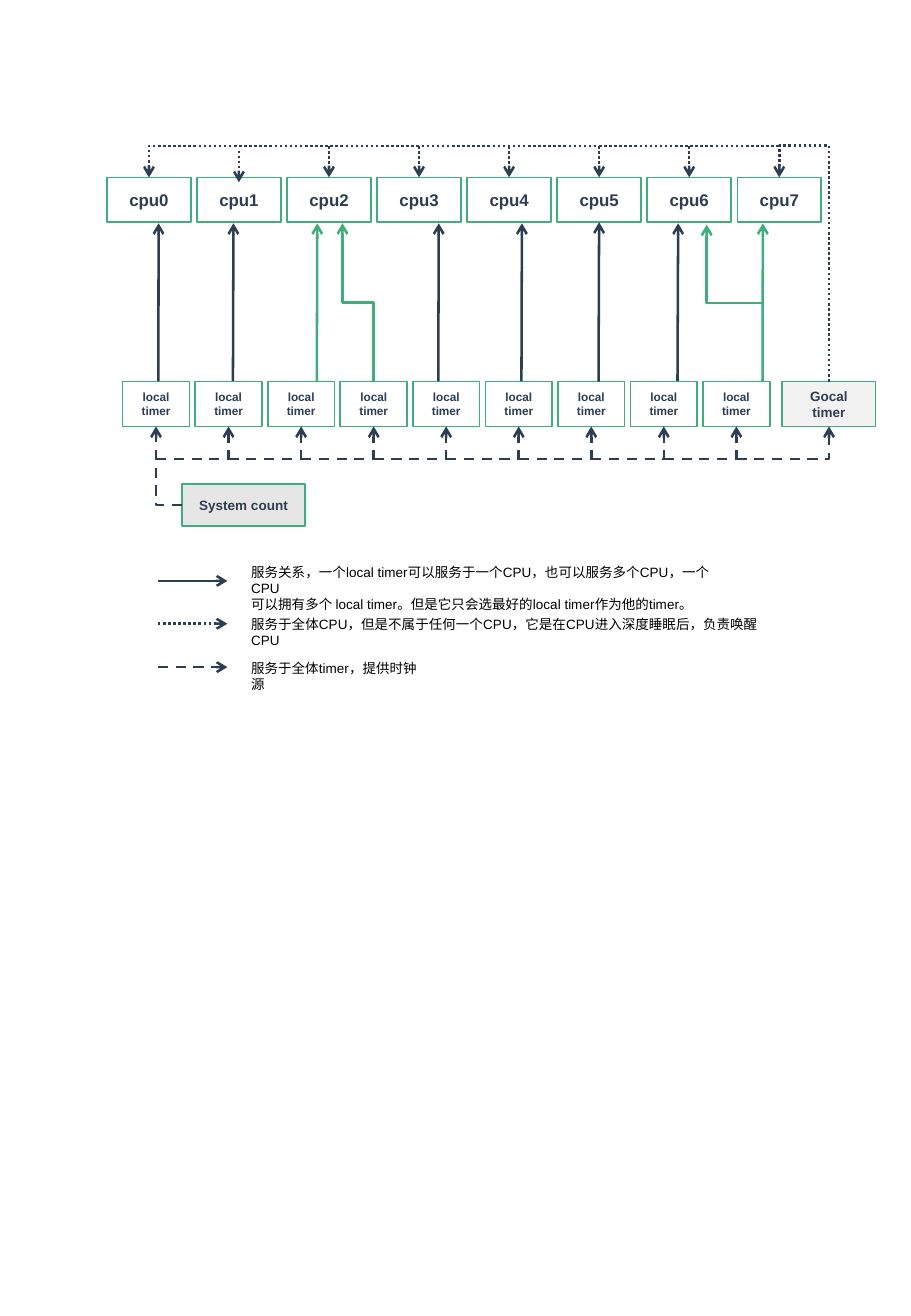
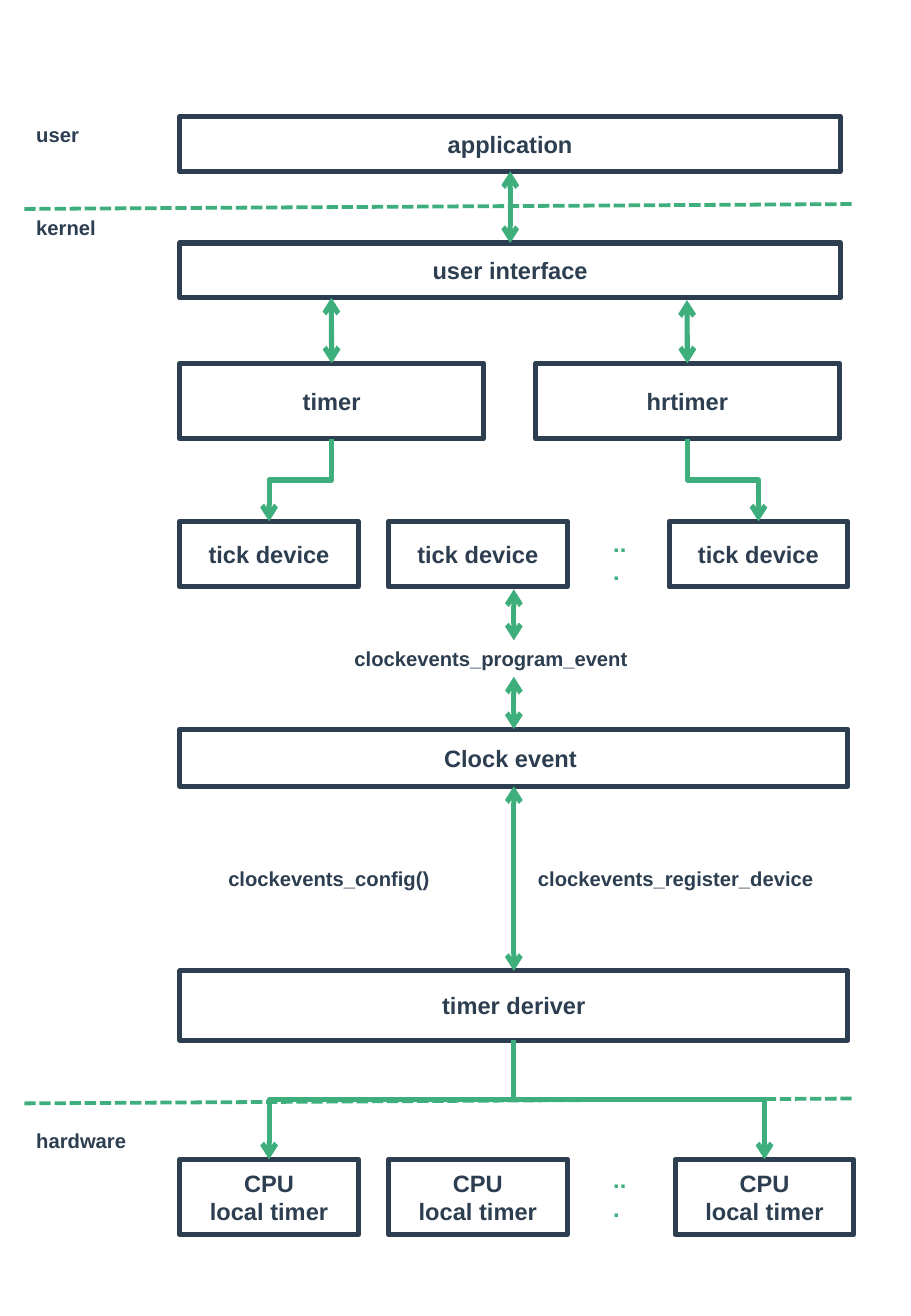
from dataclasses import dataclass
from typing import Any, Optional

from lxml import etree
from pptx import Presentation
from pptx.dml.color import RGBColor
from pptx.enum import dml, shapes, text
from pptx.oxml.ns import qn
from pptx.util import Pt


@dataclass(frozen=True)
class Theme:
    font: str = "Arial"
    ink: str = "2C3E50"
    green: str = "3EAF7C"
    black: str = "000000"
    gray: str = "E7E6E6"
    pale: str = "F2F2F2"
    tiny: float = 7
    small: float = 8
    node: float = 10
    label: float = 12
    block: float = 14
    thin: float = 1
    wire: float = 1.5
    rule: float = 2.25
    thick: float = 3


T = Theme()
RECT = shapes.MSO_SHAPE.RECTANGLE
PROC = shapes.MSO_SHAPE.FLOWCHART_PROCESS
DASH = dml.MSO_LINE.DASH
DOTS = dml.MSO_LINE.ROUND_DOT
BARS = dml.MSO_LINE.SQUARE_DOT
TOP, LEFT, BOTTOM = 0, 1, 2


@dataclass(frozen=True)
class Box:
    words: str
    x: float
    y: float
    w: float
    h: float
    size: float
    edge: str = T.green
    width: float = T.thin
    form: Any = RECT
    fill: Optional[str] = None


@dataclass(frozen=True)
class Note:
    words: str
    x: float
    y: float
    w: float
    h: float
    size: float = T.label
    color: str = T.ink
    bold: bool = True


@dataclass(frozen=True)
class Spot:
    x: float
    y: float
    shape: Any = None
    site: int = 0


@dataclass(frozen=True)
class Pen:
    color: str
    width: float
    dash: Any = None
    head: bool = False
    tail: bool = True


def style(frame: Any, words: str, size: float, color: str, bold: bool) -> None:
    frame.text = words
    frame.word_wrap = True
    for para in frame.paragraphs:
        for run in para.runs:
            run.font.name = T.font
            run.font.size = Pt(size)
            run.font.bold = bold
            run.font.color.rgb = RGBColor.from_string(color)


def draw_box(slide: Any, box: Box) -> Any:
    shape = slide.shapes.add_shape(box.form, Pt(box.x), Pt(box.y), Pt(box.w), Pt(box.h))
    shape.shadow.inherit = False
    if box.fill:
        shape.fill.solid()
        shape.fill.fore_color.rgb = RGBColor.from_string(box.fill)
    else:
        shape.fill.background()
    shape.line.color.rgb = RGBColor.from_string(box.edge)
    shape.line.width = Pt(box.width)
    style(shape.text_frame, box.words, box.size, T.ink, True)
    shape.text_frame.vertical_anchor = text.MSO_ANCHOR.MIDDLE
    for para in shape.text_frame.paragraphs:
        para.alignment = text.PP_ALIGN.CENTER
    return shape


def draw_note(slide: Any, note: Note) -> None:
    shape = slide.shapes.add_textbox(Pt(note.x), Pt(note.y), Pt(note.w), Pt(note.h))
    style(shape.text_frame, note.words, note.size, note.color, note.bold)


def side(shape: Any, site: int) -> Spot:
    x, y = shape.left.pt, shape.top.pt
    w, h = shape.width.pt, shape.height.pt
    dx, dy = ((w / 2, 0), (0, h / 2), (w / 2, h), (w, h / 2))[site]
    return Spot(x + dx, y + dy, shape, site)


def link(slide: Any, start: Spot, end: Spot, pen: Pen, kind: Any = shapes.MSO_CONNECTOR.STRAIGHT) -> Any:
    wire = slide.shapes.add_connector(kind, Pt(start.x), Pt(start.y), Pt(end.x), Pt(end.y))
    if start.shape is not None:
        wire.begin_connect(start.shape, start.site)
    if end.shape is not None:
        wire.end_connect(end.shape, end.site)
    wire.line.color.rgb = RGBColor.from_string(pen.color)
    wire.line.width = Pt(pen.width)
    if pen.dash:
        wire.line.dash_style = pen.dash
    props = wire._element.spPr
    stroke = props.find(qn("a:ln"))
    for tag, shown in (("a:headEnd", pen.head), ("a:tailEnd", pen.tail)):
        if shown:
            etree.SubElement(stroke, qn(tag)).set("type", "arrow")
    etree.SubElement(props, qn("a:effectLst"))
    return wire


def bend(slide: Any, start: Spot, end: Spot, pen: Pen, ratio: Optional[float] = None) -> None:
    wire = link(slide, start, end, pen, shapes.MSO_CONNECTOR.ELBOW)
    dx, dy = end.x - start.x, end.y - start.y
    w, h = abs(dx), abs(dy)
    props = wire._element.spPr
    geom = props.find(qn("a:prstGeom"))
    if ratio is None:
        geom.set("prst", "bentConnector2")
        turn = 180 if dx < 0 else 0
        flip = (dy < 0) != (dx < 0)
    else:
        turn = 90 if dy > 0 else 270
        flip = dx * dy > 0
        w, h = h, w
        guide = etree.SubElement(geom.find(qn("a:avLst")), qn("a:gd"))
        guide.set("name", "adj1")
        guide.set("fmla", f"val {round(ratio * 100000)}")
    wire.left, wire.top = Pt((start.x + end.x - w) / 2), Pt((start.y + end.y - h) / 2)
    wire.width, wire.height = Pt(w), Pt(h)
    frame = props.find(qn("a:xfrm"))
    frame.set("rot", str(turn * 60000))
    frame.set("flipH", "0")
    frame.set("flipV", str(int(flip)))


def timers(slide: Any) -> None:
    cpus = [draw_box(slide, Box(f"cpu{i}", 63.4 + 53.38 * i, 105.1, 49.7, 26.6, T.node))
            for i in range(8)]
    count = draw_box(slide, Box("System count", 108, 286.6, 72.7, 25.2, T.small, fill=T.gray))
    locals_ = [draw_box(slide, Box("local timer", 72.7 + 43 * i, 226.1, 39.6, 26.6, T.tiny))
               for i in range(9)]
    main = draw_box(slide, Box("Gocal timer", 463.7, 226.1, 55.4, 26.6, T.small, fill=T.pale))

    solid, green = Pen(T.ink, T.wire), Pen(T.green, T.wire)
    dash, dots = Pen(T.ink, T.wire, DASH), Pen(T.ink, T.wire, DOTS)

    bend(slide, side(count, LEFT), side(locals_[0], BOTTOM), dash)
    for prior, timer in zip(locals_, locals_[1:] + [main]):
        bend(slide, Spot(side(prior, BOTTOM).x, 271.9), side(timer, BOTTOM), dash)

    for low, high, pen in ((93.9, 94, solid), (138.1, 138.4, solid), (187.8, 188.1, green),
                           (259.8, 260.1, solid), (309.1, 309.4, solid), (401.6, 402, solid),
                           (452, 452.2, green)):
        link(slide, Spot(low, 225.9), Spot(high, 132.3), pen)
    link(slide, Spot(354.8, 226.1), side(cpus[5], BOTTOM), solid)
    bend(slide, Spot(452.2, 226.1), Spot(418.9, 133.1), green, 0.5)
    bend(slide, side(locals_[3], TOP), Spot(203, 132.3), green, 0.5)

    bend(slide, side(main, TOP), side(cpus[7], TOP), dots, 1.155)
    bend(slide, Spot(461.7, 86.6), side(cpus[0], TOP), dots)
    second = side(cpus[1], TOP).x
    link(slide, Spot(second, 89.3), Spot(second, 108), dots)
    for cpu in cpus[2:7]:
        goal = side(cpu, TOP)
        link(slide, Spot(goal.x, 86.6), goal, dots)

    for y, pen in ((344.2, solid), (369.6, dots), (395.3, dash)):
        link(slide, Spot(93.6, y), Spot(134.8, y), pen)
    for words, y, w, h in (
        ("服务关系，一个local timer可以服务于一个CPU，也可以服务多个CPU，一个CPU\n"
         "可以拥有多个 local timer。但是它只会选最好的local timer作为他的timer。", 330.5, 301.7, 26.6),
        ("服务于全体CPU，但是不属于任何一个CPU，它是在CPU进入深度睡眠后，负责唤醒CPU", 361.4, 330.5, 16.6),
        ("服务于全体timer，提供时钟源", 387.4, 120.2, 16.6),
    ):
        draw_note(slide, Note(words, 141.8, y, w, h, T.small, T.black, False))


def layers(slide: Any) -> None:
    def block(words: str, x: float, y: float, w: float, h: float) -> Any:
        return draw_box(slide, Box(words, x, y, w, h, T.block, T.ink, T.thick, PROC))

    edge, unit = 106.6, 105.8
    rule = Pen(T.green, T.rule, BARS, tail=False)
    for y in (123.8, 653.8):
        link(slide, Spot(14.4, y), Spot(506.9, y - 2.9), rule)

    app = block("application", edge, 69.1, 391.7, 32.4)
    face = block("user interface", edge, 144, 391.7, 32.4)
    timer = block("timer", edge, 215.3, 180, 44.6)
    high = block("hrtimer", 317.5, 215.3, 180, 44.6)
    ticks = [block("tick device", x, 308.9, unit, 38.9) for x in (edge, 230.4, 396.7)]
    clock = block("Clock event ", edge, 432, 396, 33.8)
    driver = block("timer deriver", edge, 575.3, 396, 41)
    cores = [block("CPU\nlocal timer", x, 686.9, unit, 44.6) for x in (edge, 230.4, 400.3)]

    for note in (
        Note("user", 14.4, 69.1, 43.9, 21.6),
        Note("kernel", 14.4, 123.8, 56.9, 21.6),
        Note("hardware", 14.4, 665.3, 78.5, 21.6),
        Note("clockevents_program_event", 203, 379.4, 202.3, 21.6),
        Note("clockevents_config()", 128.2, 509.8, 152.6, 21.6),
        Note("clockevents_register_device", 311.8, 509.8, 203.8, 21.6),
        Note("...", 356.4, 309.6, 25.2, 24.5, T.block, T.green),
        Note("...", 356.4, 686.9, 25.2, 24.5, T.block, T.green),
    ):
        draw_note(slide, note)

    both, one = Pen(T.green, T.thick, head=True), Pen(T.green, T.thick)
    axis = side(clock, TOP).x
    for start, end in (
        (side(app, BOTTOM), side(face, TOP)),
        (Spot(196.4, 176.4), side(timer, TOP)),
        (Spot(407.2, 177.8), side(high, TOP)),
        (Spot(axis, 349.2), Spot(axis, 379.4)),
        (Spot(axis, 401), side(clock, TOP)),
        (side(clock, BOTTOM), side(driver, TOP)),
    ):
        link(slide, start, end, both)
    for src, goal in ((timer, ticks[0]), (high, ticks[2]), (driver, cores[0]), (driver, cores[2])):
        bend(slide, side(src, BOTTOM), side(goal, TOP), one, 0.5)


def main() -> None:
    deck = Presentation()
    deck.slide_width, deck.slide_height = Pt(540), Pt(779.76)
    for paint in (timers, layers):
        paint(deck.slides.add_slide(deck.slide_layouts[6]))
    deck.save("out.pptx")


if __name__ == "__main__":
    main()
